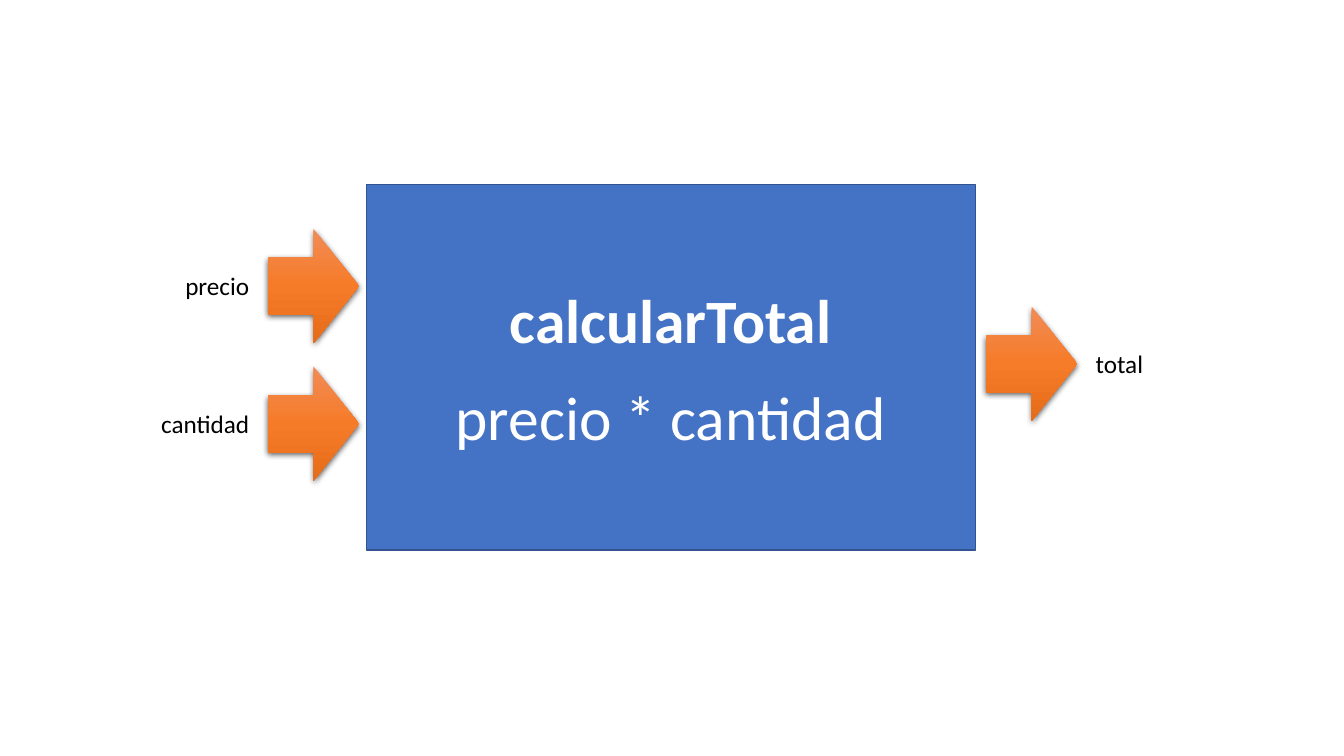
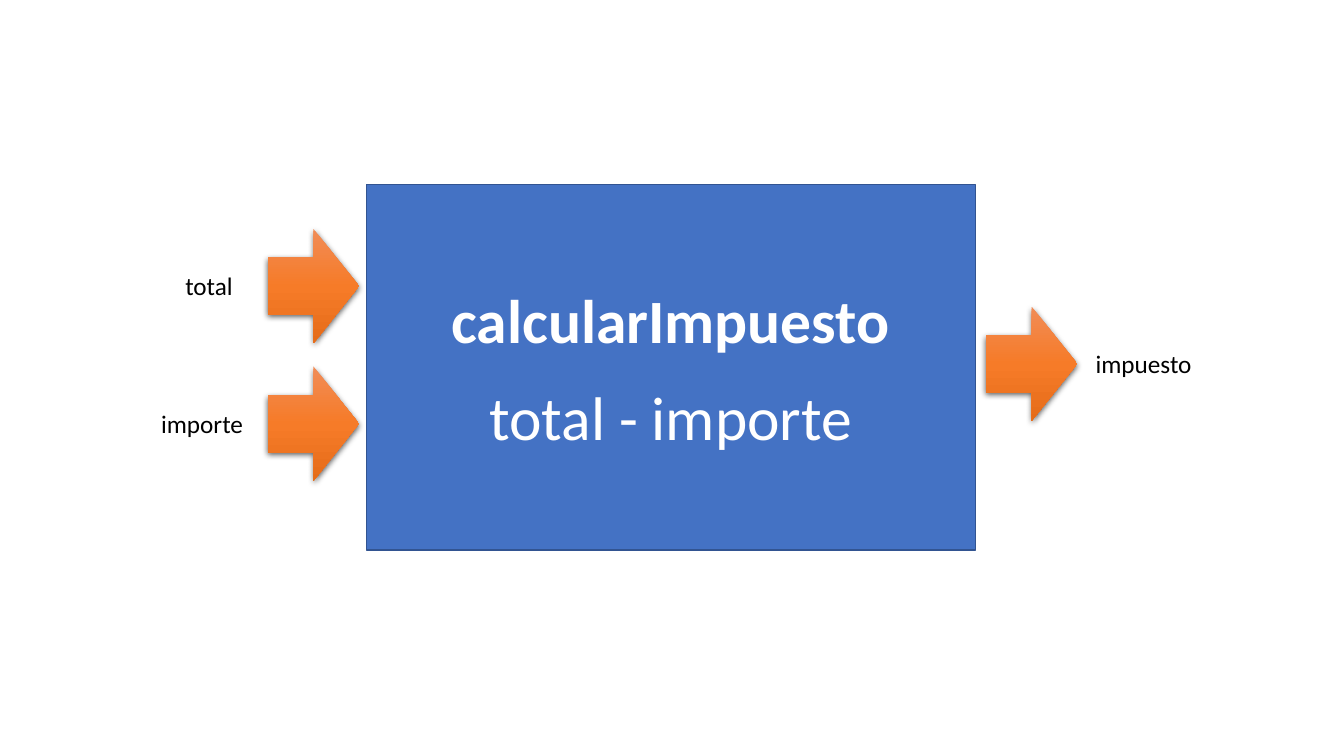
import copy
import dataclasses

import lxml.etree
import pptx
import pptx.dml.color
import pptx.enum.shapes
import pptx.enum.text
import pptx.oxml.ns
import pptx.util

PX = 9525  # EMU in one px, 96 px to the inch
SHAPES = pptx.enum.shapes.MSO_SHAPE
ALIGN = pptx.enum.text.PP_ALIGN
rgb = pptx.dml.color.RGBColor.from_string
qn = pptx.oxml.ns.qn


@dataclasses.dataclass(frozen=True)
class Theme:
    font: str = "Calibri"
    box_fill: str = "4472C4"
    box_line: str = "325491"
    box_text: str = "FFFFFF"
    label_text: str = "000000"
    arrow_stops: tuple = ((0, "F18C57"), (0.5, "F67B28"), (1, "E56C19"))
    shadow: str = "000000"
    box_size: int = 44
    label_size: int = 18
    line_gap: int = 17


theme = Theme()


def write(paragraph, text, *, size, color, bold=False, align=ALIGN.LEFT, before=0):
    paragraph.alignment = align
    paragraph.space_before = pptx.util.Pt(before)
    run = paragraph.add_run()
    run.text = text
    run.font.name = theme.font
    run.font.size = pptx.util.Pt(size)
    run.font.bold = bold
    run.font.color.rgb = rgb(color)


def add_arrow(slide, left, top):
    shape = slide.shapes.add_shape(
        SHAPES.RIGHT_ARROW, left * PX, top * PX, ARROW_WIDTH * PX, ARROW_HEIGHT * PX)
    shape.line.fill.background()

    # Three-stop gradient running downwards
    shape.fill.gradient()
    shape.fill.gradient_angle = 270
    stop_list = shape._element.spPr.find(".//" + qn("a:gsLst"))
    stop_list.append(copy.deepcopy(stop_list[-1]))
    for stop, (position, color) in zip(shape.fill.gradient_stops, theme.arrow_stops):
        stop.position = position
        stop.color.rgb = rgb(color)

    # Soft shadow below
    shape.shadow.inherit = False
    effects = shape._element.spPr.find(qn("a:effectLst"))
    shadow = lxml.etree.SubElement(
        effects, qn("a:outerShdw"), blurRad="57150", dist="19050",
        dir="5400000", algn="ctr", rotWithShape="0")
    shadow_color = lxml.etree.SubElement(shadow, qn("a:srgbClr"), val=theme.shadow)
    lxml.etree.SubElement(shadow_color, qn("a:alpha"), val="63000")


# Layout in px
BOX = (349, 176, 580, 348)
ARROW_WIDTH, ARROW_HEIGHT = 87, 109
LABEL_WIDTH, LABEL_HEIGHT = 120, 38
# Arrow left, arrow top, label left: two inputs, then the output
PORTS = ((255, 218, 167), (255, 349, 144), (939, 292, 1034))

# Function name, body, labels of the ports
FUNCTIONS = (
    ("calcularTotal", "precio * cantidad", ("precio", "cantidad", "total")),
    ("calcularImpuesto", "total - importe", ("total", "importe", "impuesto")),
)

presentation = pptx.Presentation()
presentation.slide_width = 1280 * PX
presentation.slide_height = 720 * PX

for name, body, labels in FUNCTIONS:
    slide = presentation.slides.add_slide(presentation.slide_layouts[6])

    # Function box
    box = slide.shapes.add_shape(SHAPES.RECTANGLE, *(length * PX for length in BOX))
    box.shadow.inherit = False
    box.fill.solid()
    box.fill.fore_color.rgb = rgb(theme.box_fill)
    box.line.color.rgb = rgb(theme.box_line)
    box.line.width = pptx.util.Pt(1)
    frame = box.text_frame
    frame.word_wrap = True
    frame.vertical_anchor = pptx.enum.text.MSO_ANCHOR.MIDDLE
    write(frame.paragraphs[0], name, size=theme.box_size, color=theme.box_text,
          bold=True, align=ALIGN.CENTER)
    write(frame.add_paragraph(), body, size=theme.box_size, color=theme.box_text,
          align=ALIGN.CENTER, before=theme.line_gap)

    # Input and output arrows with their labels
    for (arrow_left, arrow_top, label_left), label in zip(PORTS, labels):
        add_arrow(slide, arrow_left, arrow_top)
        label_top = arrow_top + (ARROW_HEIGHT - LABEL_HEIGHT) // 2
        label_box = slide.shapes.add_textbox(
            label_left * PX, label_top * PX, LABEL_WIDTH * PX, LABEL_HEIGHT * PX)
        label_box.text_frame.word_wrap = True
        write(label_box.text_frame.paragraphs[0], label,
              size=theme.label_size, color=theme.label_text)

presentation.save("out.pptx")
